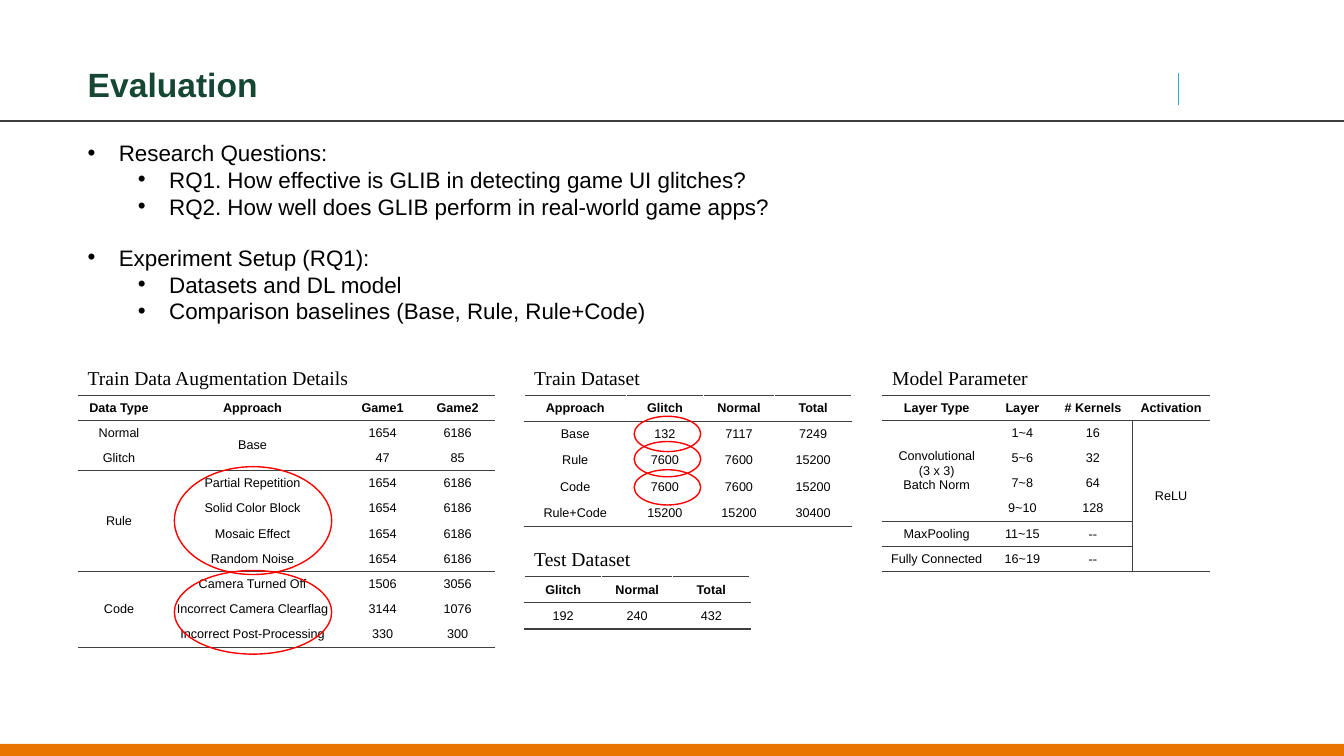
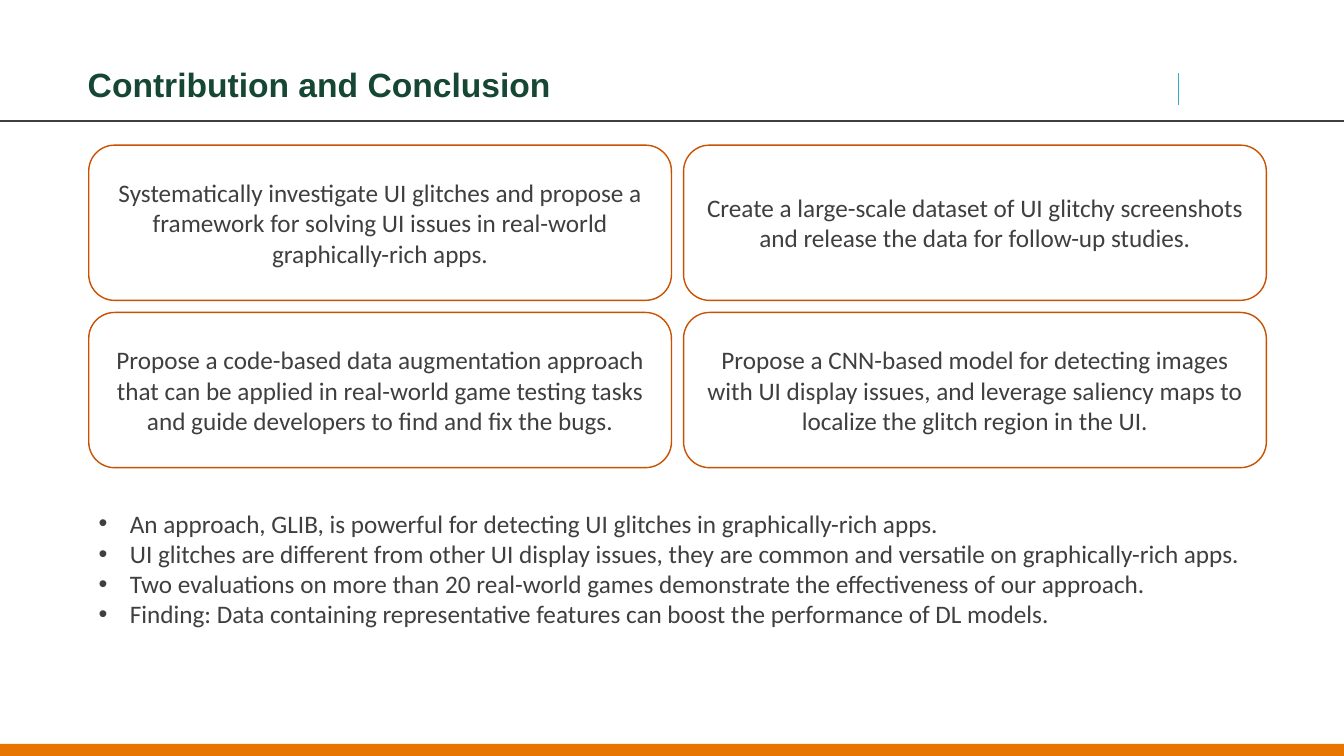
from dataclasses import dataclass

from lxml.etree import SubElement
from pptx import Presentation
from pptx.dml.color import RGBColor
from pptx.enum.shapes import MSO_CONNECTOR as Connector, MSO_SHAPE as Shape
from pptx.enum.text import MSO_ANCHOR as Anchor, PP_ALIGN as Align
from pptx.oxml import parse_xml
from pptx.oxml.ns import nsdecls, qn
from pptx.util import Inches, Pt


@dataclass(frozen=True)
class Theme:
    title: str = "154734"
    ink: str = "000000"
    gray: str = "3F3F3F"
    white: str = "FFFFFF"
    band: str = "E87500"
    accent: str = "2FAFC8"
    card: str = "C95100"
    mark: str = "FF0000"
    sans: str = "Arial"
    serif: str = "Times New Roman"
    body: str = "Calibri"
    title_size: int = 24
    body_size: int = 18
    list_size: int = 16
    caption_size: int = 14
    table_size: int = 9
    line: float = 1


THEME = Theme()
WIDTH, HEIGHT = 13.33, 7.5
MARGIN = 0.77
CONTENT_WIDTH = 11.79
CAPTION_HEIGHT = 0.34
PLAIN_TABLE = "{2D5ABB26-0587-4C30-8999-92F81FD0307C}"


def color(value):
    return RGBColor.from_string(value)


def inches(box):
    return [Inches(length) for length in box]


# Text and basic shapes
def add_bullet(para, level):
    para.level = level
    properties = para._p.get_or_add_pPr()
    properties.set("marL", str(Inches(0.31 + 0.5 * level)))
    properties.set("indent", str(-Inches(0.31)))
    SubElement(properties, qn("a:buFont")).set("typeface", THEME.sans)
    SubElement(properties, qn("a:buChar")).set("char", "•")


def write(frame, lines, *, size, font, ink, bold=False, align=Align.LEFT,
          anchor=Anchor.TOP, spacing=None, levels=None):
    """Fill a text frame; levels turns its lines into a bulleted list."""
    frame.word_wrap = True
    frame.vertical_anchor = anchor
    for index, line in enumerate(lines):
        para = frame.paragraphs[0] if index == 0 else frame.add_paragraph()
        para.alignment = align
        if spacing:
            para.line_spacing = spacing
        if levels:
            add_bullet(para, levels[index])
        span = para.add_run()
        span.text = line
        span.font.size, span.font.name = Pt(size), font
        span.font.bold = bold
        span.font.color.rgb = color(ink)


def add_text(page, box, lines, **format):
    write(page.shapes.add_textbox(*inches(box)).text_frame, lines, **format)


def add_box(page, kind, box, fill=None, line=None):
    shape = page.shapes.add_shape(kind, *inches(box))
    shape.shadow.inherit = False
    if fill:
        shape.fill.solid()
        shape.fill.fore_color.rgb = color(fill)
    else:
        shape.fill.background()
    if line:
        shape.line.color.rgb = color(line)
        shape.line.width = Pt(THEME.line)
    else:
        shape.line.fill.background()
    return shape


def add_rule(page, start, end, ink):
    rule = page.shapes.add_connector(
        Connector.STRAIGHT, *inches(start), *inches(end))
    rule.line.color.rgb = color(ink)
    rule.line.width = Pt(THEME.line)
    SubElement(rule._element.spPr, qn("a:effectLst"))


# Tables
def border_cell(cell, sides):
    """Set the left, right, top and bottom border; None draws no line."""
    properties = cell._tc.get_or_add_tcPr()
    for index, (name, ink) in enumerate(zip("LRTB", sides)):
        paint = (f'<a:solidFill><a:srgbClr val="{ink}"/></a:solidFill>'
                 if ink else "<a:noFill/>")
        width = Pt(THEME.line) if ink else 0
        properties.insert(index, parse_xml(
            f'<a:ln{name} {nsdecls("a")} w="{width}">{paint}</a:ln{name}>'))


def add_grid(page, left, top, columns, row_height, rows, *, rules,
             merges=(), short_rules=(), split=None, gaps=False):
    """Draw a ruled table.

    rules are full-width row edges, short_rules stop at the split column
    edge, and gaps puts white lines between the columns.
    """
    graphic = page.shapes.add_table(
        len(rows), len(columns),
        *inches((left, top, sum(columns), row_height * len(rows))))
    table = graphic.table
    table.first_row = table.horz_banding = False
    table._tbl.tblPr.find(qn("a:tableStyleId")).text = PLAIN_TABLE
    for column, width in zip(table.columns, columns):
        column.width = Inches(width)
    for row in table.rows:
        row.height = Inches(row_height)
    for first, last in merges:
        table.cell(*first).merge(table.cell(*last))

    def across(edge, column):
        ruled = edge in rules or (edge in short_rules and column < split)
        return THEME.gray if ruled else None

    def down(edge, row):
        if gaps:
            return THEME.white
        return THEME.gray if edge == split and row > 0 else None

    for r, row in enumerate(rows):
        for c, value in enumerate(row):
            cell = table.cell(r, c)
            cell.margin_left = cell.margin_right = Inches(0.08)
            cell.margin_top = cell.margin_bottom = Inches(0.04)
            cell.fill.background()
            border_cell(cell, (down(c, r), down(c + 1, r), across(r, c),
                               across(r + cell.span_height, c)))
            if value:
                write(cell.text_frame, value.split("\n"),
                      size=THEME.table_size, ink=THEME.ink, bold=r == 0,
                      font=THEME.serif if value == "--" else THEME.sans,
                      align=Align.CENTER)
            cell.vertical_anchor = Anchor.MIDDLE


def add_panel(page, left, top, caption, columns, row_height, rows, *,
              marks=(), caption_width=1.66, **ruling):
    """Caption over a table, with ellipses placed relative to the panel."""
    add_text(page, (left, top, caption_width, CAPTION_HEIGHT), [caption],
             size=THEME.caption_size, font=THEME.serif, ink=THEME.ink)
    add_grid(page, left, top + CAPTION_HEIGHT, columns, row_height, rows,
             **ruling)
    for x, y, width, height in marks:
        add_box(page, Shape.OVAL, (left + x, top + y, width, height),
                line=THEME.mark)


# Parts shared by the slides
def add_page(deck, title):
    page = deck.slides.add_slide(deck.slide_layouts[5])
    add_box(page, Shape.RECTANGLE, (0, 7.38, WIDTH, 0.12), fill=THEME.band)
    heading = page.shapes.title
    heading.left, heading.top, heading.width, heading.height = inches(
        (MARGIN, 0.36, CONTENT_WIDTH, 0.73))
    write(heading.text_frame, [title], size=THEME.title_size,
          font=THEME.sans, ink=THEME.title, bold=True,
          anchor=Anchor.BOTTOM, spacing=0.9)
    add_rule(page, (0, 1.2), (WIDTH, 1.2), THEME.gray)
    add_rule(page, (11.69, 0.72), (11.69, 1.04), THEME.accent)
    return page


# Evaluation slide
def add_augmentation(page, left, top):
    rows = [
        ["Data Type", "Approach", "Game1", "Game2"],
        ["Normal", "Base", "1654", "6186"],
        ["Glitch", "", "47", "85"],
        ["Rule", "Partial Repetition", "1654", "6186"],
        ["", "Solid Color Block", "1654", "6186"],
        ["", "Mosaic Effect", "1654", "6186"],
        ["", "Random Noise", "1654", "6186"],
        ["Code", "Camera Turned Off", "1506", "3056"],
        ["", "Incorrect Camera Clearflag", "3144", "1076"],
        ["", "Incorrect Post-Processing", "330", "300"],
    ]
    add_panel(page, left, top, "Train Data Augmentation Details",
              (0.82, 1.83, 0.75, 0.74), 0.25, rows, caption_width=3.25,
              rules=(0, 1, 3, 7, 10),
              merges=(((1, 1), (2, 1)), ((3, 0), (6, 0)), ((7, 0), (9, 0))),
              marks=((0.96, 1.05, 1.56, 1.07), (0.96, 2.08, 1.56, 0.83)))


def add_datasets(page, left, top):
    train = [
        ["Approach", "Glitch", "Normal", "Total"],
        ["Base", "132", "7117", "7249"],
        ["Rule", "7600", "7600", "15200"],
        ["Code", "7600", "7600", "15200"],
        ["Rule+Code", "15200", "15200", "30400"],
    ]
    test = [["Glitch", "Normal", "Total"], ["192", "240", "432"]]
    counts = (0.77, 0.7, 0.77)
    add_panel(page, left, top, "Train Dataset", (1.01, *counts), 0.26, train,
              rules=(0, 1, 5), gaps=True,
              marks=[(1.09, y, 0.66, 0.35) for y in (0.55, 0.8, 1.08)])
    add_panel(page, left, top + 1.8, "Test Dataset", counts, 0.26, test,
              rules=(0, 1, 2), gaps=True)


def add_model(page, left, top):
    rows = [
        ["Layer Type", "Layer", "# Kernels", "Activation"],
        ["Convolutional\n(3 x 3)\nBatch Norm", "1~4", "16", "ReLU"],
        ["", "5~6", "32", ""],
        ["", "7~8", "64", ""],
        ["", "9~10", "128", ""],
        ["MaxPooling", "11~15", "--", ""],
        ["Fully Connected", "16~19", "--", ""],
    ]
    add_panel(page, left, top, "Model Parameter", (1.08, 0.62, 0.78, 0.77),
              0.25, rows, rules=(0, 1, 7), short_rules=(5, 6), split=3,
              merges=(((1, 0), (4, 0)), ((1, 3), (6, 3))))


def add_evaluation(deck):
    page = add_page(deck, "Evaluation")
    outlines = [
        ["Research Questions:",
         "RQ1. How effective is GLIB in detecting game UI glitches?",
         "RQ2. How well does GLIB perform in real-world game apps?"],
        ["Experiment Setup (RQ1):", "Datasets and DL model",
         "Comparison baselines (Base, Rule, Rule+Code)"],
    ]
    for index, lines in enumerate(outlines):
        add_text(page, (MARGIN, 1.33 + 1.04 * index, CONTENT_WIDTH, 0.91),
                 lines, size=THEME.list_size, font=THEME.sans,
                 ink=THEME.ink, levels=(0, 1, 1))
    panel_top = 3.58
    add_augmentation(page, MARGIN, panel_top)
    add_datasets(page, 5.2, panel_top)
    add_model(page, 8.75, panel_top)


# Conclusion slide
def add_cards(page, left, top, texts):
    width, height, gap = 5.78, 1.54, 0.12
    for index, text in enumerate(texts):
        row, column = divmod(index, 2)
        card = add_box(page, Shape.ROUNDED_RECTANGLE,
                       (left + column * (width + gap),
                        top + row * (height + gap), width, height),
                       fill=THEME.white, line=THEME.card)
        write(card.text_frame, [text], size=THEME.body_size,
              font=THEME.body, ink=THEME.gray, align=Align.CENTER,
              anchor=Anchor.MIDDLE)


def add_conclusion(deck):
    page = add_page(deck, "Contribution and Conclusion")
    add_cards(page, 0.88, 1.44, [
        "Systematically investigate UI glitches and propose a framework for "
        "solving UI issues in real-world graphically-rich apps.",
        "Create a large-scale dataset of UI glitchy screenshots and release "
        "the data for follow-up studies.",
        "Propose a code-based data augmentation approach that can be applied "
        "in real-world game testing tasks and guide developers to find and "
        "fix the bugs.",
        "Propose a CNN-based model for detecting images with UI display "
        "issues, and leverage saliency maps to localize the glitch region "
        "in the UI.",
    ])
    findings = [
        "An approach, GLIB, is powerful for detecting UI glitches in "
        "graphically-rich apps.",
        "UI glitches are different from other UI display issues, they are "
        "common and versatile on graphically-rich apps.",
        "Two evaluations on more than 20 real-world games demonstrate the "
        "effectiveness of our approach.",
        "Finding: Data containing representative features can boost the "
        "performance of DL models.",
    ]
    add_text(page, (0.88, 4.99, 11.68, 1.31), findings,
             size=THEME.body_size, font=THEME.body, ink=THEME.gray,
             levels=(0,) * len(findings))


def main():
    deck = Presentation()
    deck.slide_width, deck.slide_height = inches((WIDTH, HEIGHT))
    add_evaluation(deck)
    add_conclusion(deck)
    deck.save("out.pptx")


if __name__ == "__main__":
    main()
